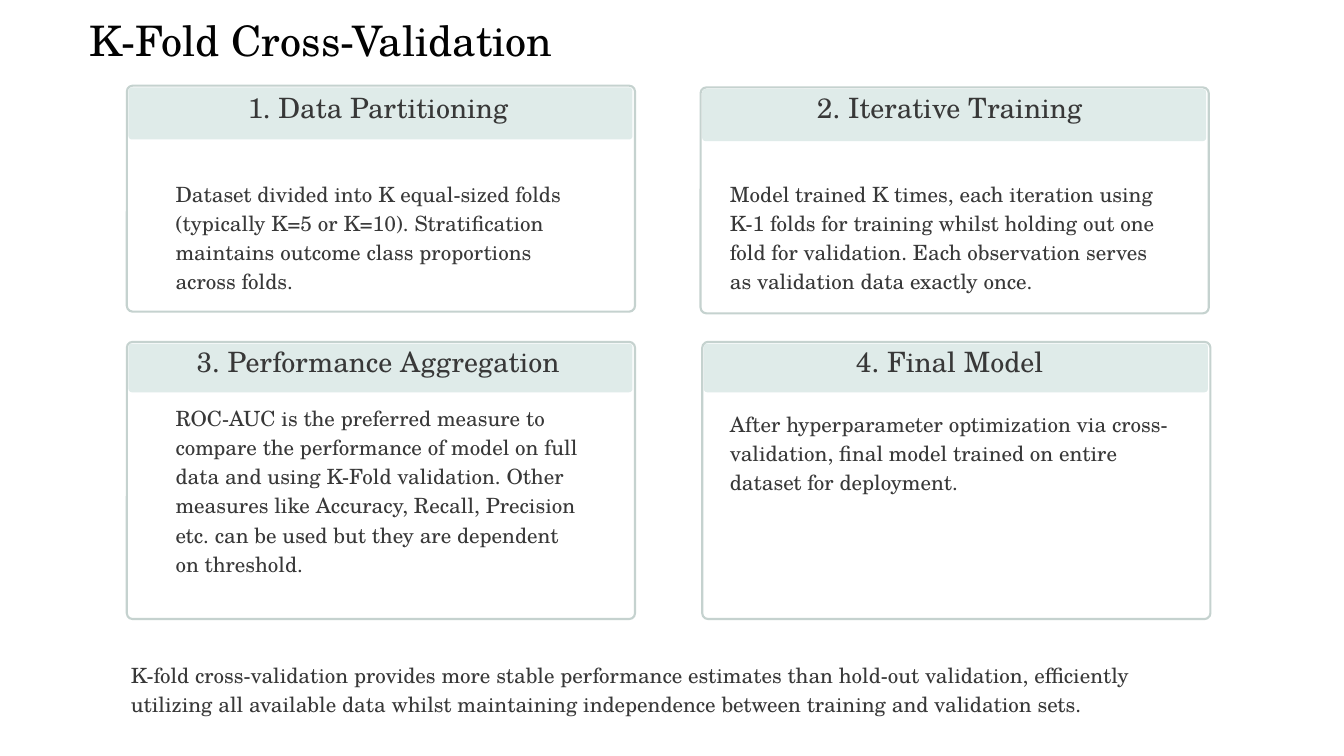
from dataclasses import dataclass

from pptx import Presentation, util as u
from pptx.dml import color
from pptx.enum import shapes, text


@dataclass(frozen=True)
class Theme:
    font: str = "TeX Gyre Schola"
    black: str = "020202"
    ink: str = "383838"
    edge: str = "C5D2CF"
    band: str = "DFEBE9"
    title: float = 36
    head: float = 24
    body: float = 18
    rule: float = 1.8


def rgb(code):
    return color.RGBColor.from_string(code)


def put(item, vals):
    for key, val in vals.items():
        setattr(item, key, val)


class Deck:
    def __init__(self, theme):
        self.theme = theme
        self.deck = Presentation()
        put(self.deck, {"slide_width": u.Inches(16), "slide_height": u.Inches(9)})
        self.page = self.deck.slides.add_slide(self.deck.slide_layouts[6])

    def panel(self, x, y, w, h, curve, fill=None, line=None):
        """Rounded box with corner radius in inches."""
        box = self.page.shapes.add_shape(
            shapes.MSO_SHAPE.ROUNDED_RECTANGLE, *map(u.Inches, (x, y, w, h)))
        box.shadow.inherit = False
        box.adjustments[0] = curve / min(w, h)
        if fill:
            box.fill.solid()
            box.fill.fore_color.rgb = rgb(fill)
        else:
            box.fill.background()
        if line:
            box.line.color.rgb = rgb(line)
            box.line.width = u.Pt(self.theme.rule)
        else:
            box.line.fill.background()

    def card(self, x, y, h, band):
        """Outlined card with a tinted band along its top."""
        self.panel(x, y, 6.05, h, 0.07, line=self.theme.edge)
        self.panel(x + 0.02, y + 0.02, 6, band, 0.04, fill=self.theme.band)

    def label(self, x, y, w, h, paras, ink, pads=(0, 0, 0, 0)):
        """Text box; each paragraph is (words, size, leading, gap, centred)."""
        box = self.page.shapes.add_textbox(*map(u.Inches, (x, y, w, h)))
        frame = box.text_frame
        sides = ("margin_left", "margin_top", "margin_right", "margin_bottom")
        put(frame, {"word_wrap": True, "vertical_anchor": text.MSO_ANCHOR.TOP,
                    **dict(zip(sides, map(u.Inches, pads)))})
        for i, (words, size, lead, gap, mid) in enumerate(paras):
            para = frame.add_paragraph() if i else frame.paragraphs[0]
            run = para.add_run()
            run.text = words
            align = text.PP_ALIGN.CENTER if mid else text.PP_ALIGN.LEFT
            put(para, {"alignment": align, "line_spacing": u.Pt(lead),
                       "space_before": u.Pt(gap)})
            put(run.font, {"name": self.theme.font, "size": u.Pt(size)})
            run.font.color.rgb = rgb(ink)

    def column(self, x, w, steps):
        """Headings and bodies of the two cards in one column."""
        paras = []
        for i, (head, gap, body) in enumerate(steps):
            paras += [(head, self.theme.head, 20.5, 51 if i else 0, True),
                      (body, self.theme.body, 25, gap, False)]
        self.label(x, 1.19, w, 5.14, paras, self.theme.ink)


def main():
    theme = Theme()
    deck = Deck(theme)

    # Cards: left, top, height, band height
    for spot in ((1.51, 1.02, 2.69, 0.62), (1.51, 4.07, 3.3, 0.58),
                 (8.36, 4.07, 3.3, 0.58), (8.34, 1.04, 2.69, 0.62)):
        deck.card(*spot)

    # Title
    deck.label(1.07, -0.17, 14.93, 0.91,
               [("K-Fold Cross-Validation", theme.title, 51, 0, False)],
               theme.black, pads=(0, 0.24, 0, 0))

    # Steps: heading, gap below it in points, body
    deck.column(2.09, 4.82, [
        ("1. Data Partitioning", 46,
         "Dataset divided into K equal-sized folds (typically K=5 or K=10). "
         "Stratification maintains outcome class proportions across folds."),
        ("3. Performance Aggregation", 20.5,
         "ROC-AUC is the preferred measure to compare the performance of model "
         "on full data and using K-Fold validation. Other measures like "
         "Accuracy, Recall, Precision etc. can be used but they are dependent "
         "on threshold."),
    ])
    deck.column(8.69, 5.23, [
        ("2. Iterative Training", 46,
         "Model trained K times, each iteration using K-1 folds for training "
         "whilst holding out one fold for validation. Each observation serves "
         "as validation data exactly once."),
        ("4. Final Model", 25.5,
         "After hyperparameter optimization via cross-validation, final model "
         "trained on entire dataset for deployment."),
    ])

    # Closing remark
    deck.label(1.46, 7.79, 13.08, 0.78,
               [("K-fold cross-validation provides more stable performance "
                 "estimates than hold-out validation, efficiently utilizing all "
                 "available data whilst maintaining independence between "
                 "training and validation sets.", theme.body, 25, 0, False)],
               theme.ink, pads=(0.1, 0.05, 0.1, 0.05))

    deck.deck.save("out.pptx")


if __name__ == "__main__":
    main()
